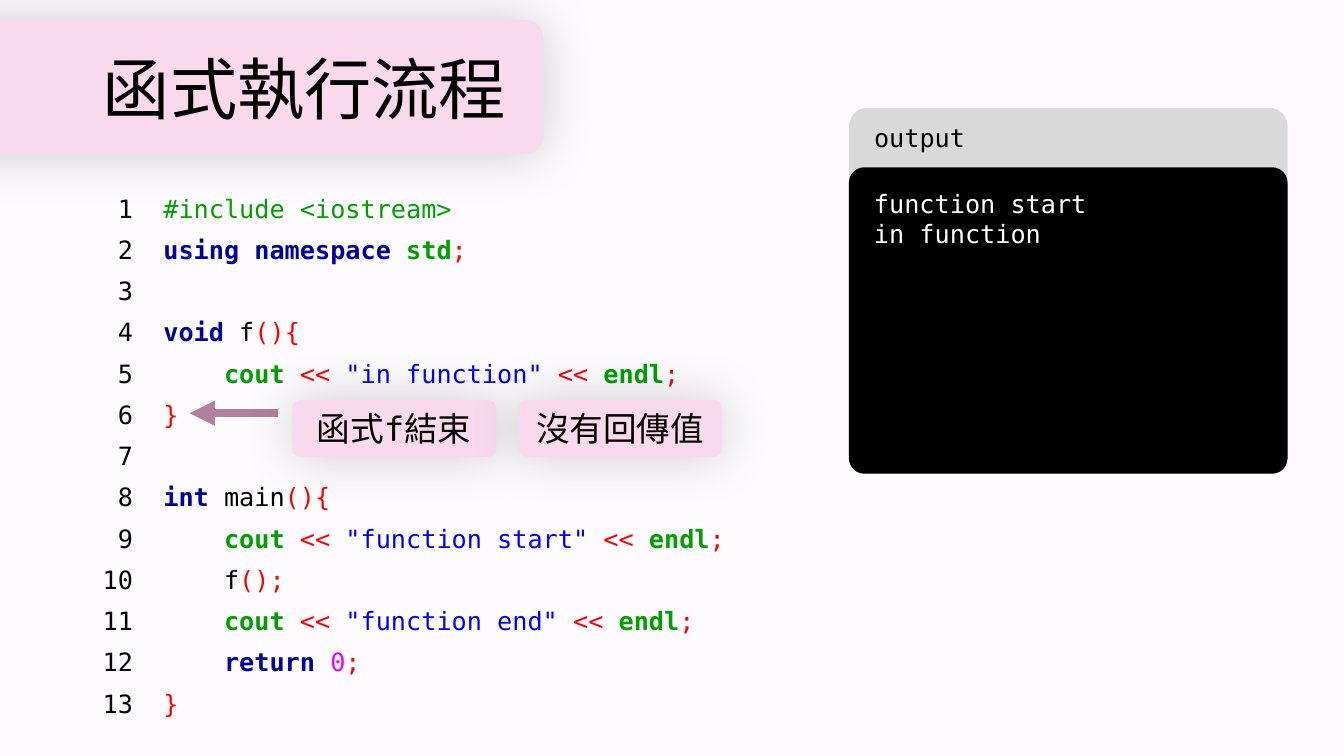
from lxml import etree
from pptx import Presentation
from pptx import util as u
from pptx.dml.color import RGBColor
from pptx.enum import shapes, text
from pptx.oxml import ns

MONO = "DejaVu Sans Mono"
PINK = "F9D9EC"
BLACK = "000000"
TOKEN_STYLES = {
    "plain": (BLACK, False),
    "include": ("00A000", False),
    "keyword": ("0000A0", True),
    "library": ("00A000", True),
    "symbol": ("FF0000", False),
    "string": ("0000FF", False),
    "number": ("F000F0", False),
}


def print_line(message):
    return [("    ", "plain"), ("cout ", "library"), ("<< ", "symbol"),
            (f'"{message}" ', "string"), ("<< ", "symbol"),
            ("endl", "library"), (";", "symbol")]


PROGRAM = [
    [("#include <iostream>", "include")],
    [("using namespace ", "keyword"), ("std", "library"), (";", "symbol")],
    [],
    [("void ", "keyword"), ("f", "plain"), ("(){", "symbol")],
    print_line("in function"),
    [("}", "symbol")],
    [],
    [("int ", "keyword"), ("main", "plain"), ("(){", "symbol")],
    print_line("function start"),
    [("    f", "plain"), ("();", "symbol")],
    print_line("function end"),
    [("    ", "plain"), ("return ", "keyword"), ("0", "number"), (";", "symbol")],
    [("}", "symbol")],
]


def color(value):
    return RGBColor.from_string(value)


def apply(target, values):
    for name, value in values.items():
        setattr(target, name, value)


def style_font(font, size, ink=BLACK, bold=False):
    apply(font, {"name": MONO, "size": u.Pt(size), "bold": bold})
    font.color.rgb = color(ink)


def add_panel(parent, box, fill, rounding, glow=False):
    panel = parent.add_shape(shapes.MSO_SHAPE.ROUNDED_RECTANGLE, *map(u.Inches, box))
    panel.adjustments[0] = rounding
    panel.fill.solid()
    panel.fill.fore_color.rgb = color(fill)
    panel.line.fill.background()
    panel.shadow.inherit = False
    if glow:
        effects = panel._element.spPr.find(ns.qn("a:effectLst"))
        shadow = etree.SubElement(effects, ns.qn("a:outerShdw"),
                                  blurRad=str(u.Pt(38)), dist="0", dir="0",
                                  algn="ctr", rotWithShape="0")
        ink = etree.SubElement(shadow, ns.qn("a:srgbClr"), val=BLACK)
        etree.SubElement(ink, ns.qn("a:alpha"), val="19000")
    return panel


def add_title(slide, box):
    left, top, width, height = box
    add_panel(slide.shapes, box, PINK, 0.13, glow=True)
    title = slide.shapes.title
    slide.shapes._spTree.append(title._element)
    apply(title, {"left": u.Inches(left + 2.49), "top": u.Inches(top + 0.19),
                  "width": u.Inches(11.5), "height": u.Inches(1.05)})
    title.text_frame.text = "函式執行流程"
    title.text_frame.vertical_anchor = text.MSO_ANCHOR.MIDDLE
    heading = title.text_frame.paragraphs[0]
    apply(heading, {"alignment": text.PP_ALIGN.LEFT, "line_spacing": 0.9})
    style_font(heading.runs[0].font, 48)


def add_program(slide, box):
    frame = slide.shapes.add_textbox(*map(u.Inches, box)).text_frame
    frame.word_wrap = True
    for number, tokens in enumerate(PROGRAM, 1):
        line = frame.paragraphs[0] if number == 1 else frame.add_paragraph()
        apply(line, {"line_spacing": 0.9, "space_before": u.Pt(10 if number > 1 else 0)})
        label = f"{number:2}  " if tokens else f"{number:2}"
        for words, kind in [(label, "plain")] + tokens:
            run = line.add_run()
            run.text = words
            style_font(run.font, 18, *TOKEN_STYLES[kind])


def add_step_arrow(slide, box):
    left, top, width, height = box
    arrow = slide.shapes.add_connector(
        shapes.MSO_CONNECTOR.STRAIGHT,
        *map(u.Inches, (left + width, top, left, top + height)))
    arrow.line.color.rgb = color("B1809E")
    arrow.line.width = u.Pt(6)
    etree.SubElement(arrow.line._get_or_add_ln(), ns.qn("a:tailEnd"), type="triangle")
    etree.SubElement(arrow._element.spPr, ns.qn("a:effectLst"))


def add_remark(slide, box, words):
    remark = add_panel(slide.shapes, box, PINK, 0.13, glow=True)
    frame = remark.text_frame
    apply(frame, {"text": words, "word_wrap": True,
                  "vertical_anchor": text.MSO_ANCHOR.MIDDLE})
    frame.paragraphs[0].alignment = text.PP_ALIGN.CENTER
    style_font(frame.paragraphs[0].runs[0].font, 24)


def add_output_window(slide, box):
    left, top, width, height = box
    window = slide.shapes.add_group_shape().shapes
    add_panel(window, box, "D9D9D9", 0.05)
    add_panel(window, (left, top + 0.59, width, height - 0.59), BLACK, 0.05)
    for drop, wide, tall, ink, lines in (
        (0.09, 1.41, 0.4, BLACK, ["output"]),
        (0.75, 3.97, 0.71, "FFFFFF", ["function start", "in function"]),
    ):
        frame = window.add_textbox(
            *map(u.Inches, (left + 0.15, top + drop, wide, tall))).text_frame
        apply(frame, {"text": "\n".join(lines), "word_wrap": True,
                      "auto_size": text.MSO_AUTO_SIZE.SHAPE_TO_FIT_TEXT})
        for line in frame.paragraphs:
            style_font(line.runs[0].font, 18, ink)


def main():
    deck = Presentation()
    apply(deck, {"slide_width": u.Inches(13.33), "slide_height": u.Inches(7.5)})
    slide = deck.slides.add_slide(deck.slide_layouts[5])
    slide.background.fill.solid()
    slide.background.fill.fore_color.rgb = color("FEFBFF")
    add_title(slide, (-1.57, 0.2, 6.96, 1.33))
    add_program(slide, (0.92, 1.9, 11.5, 5.09))
    add_step_arrow(slide, (1.88, 4.1, 0.88, 0))
    for index, words in enumerate(["函式f結束", "沒有回傳值"]):
        add_remark(slide, (2.9 + 2.24 * index, 3.97, 2.02, 0.56), words)
    add_output_window(slide, (8.42, 1.07, 4.35, 3.63))
    deck.save("out.pptx")


if __name__ == "__main__":
    main()
